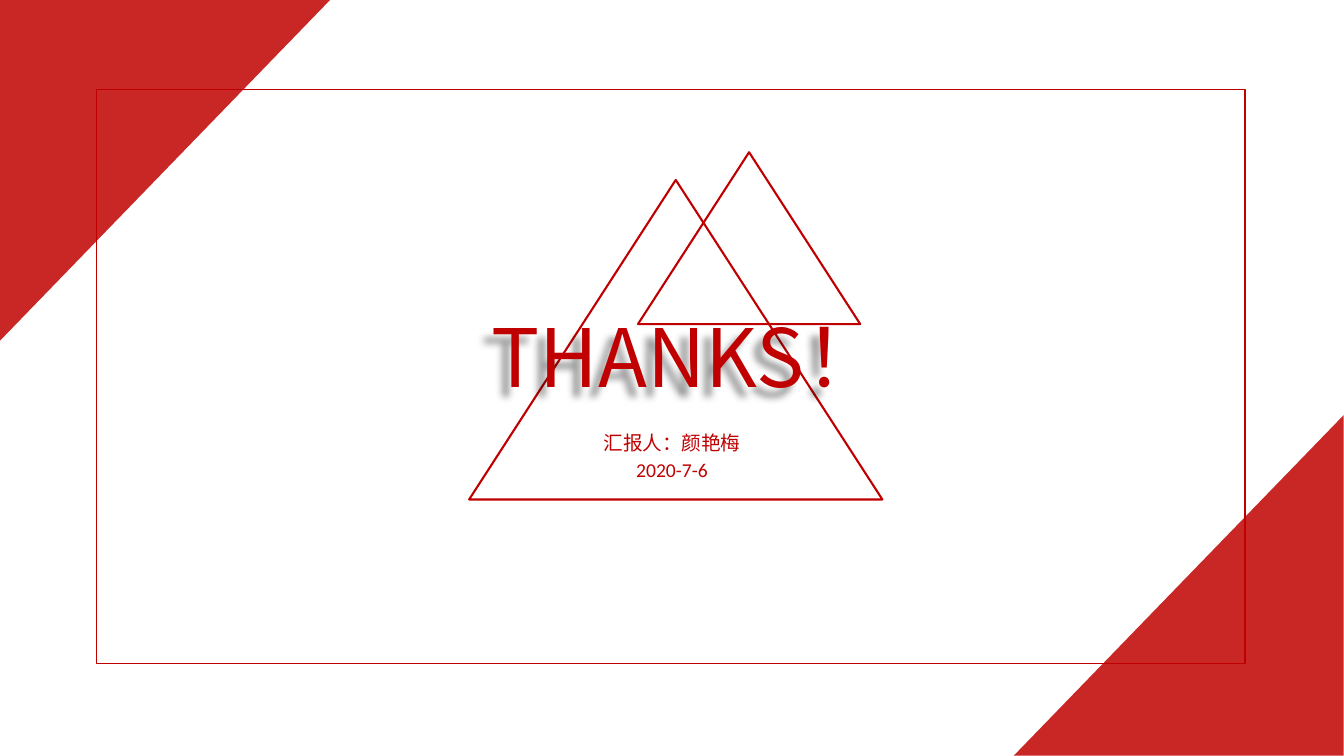
"""Build a closing slide with red corners, a frame, two triangles and thanks."""
from dataclasses import dataclass

import lxml.etree
import pptx
import pptx.dml.color
import pptx.enum.shapes
import pptx.enum.text
import pptx.oxml.ns
import pptx.util

Inches = pptx.util.Inches
Pt = pptx.util.Pt
Kind = pptx.enum.shapes.MSO_SHAPE
Anchor = pptx.enum.text.MSO_ANCHOR
RED = "C00000"
CJK_FONT = "Noto Sans CJK SC"


@dataclass(frozen=True)
class Corner:
    left: float
    top: float
    rotation: int


@dataclass(frozen=True)
class Outline:
    kind: Kind
    left: float
    top: float
    width: float
    height: float
    weight: float


@dataclass(frozen=True)
class Label:
    lines: tuple[str, ...]
    left: float
    top: float
    width: float
    height: float
    size: float
    font: str
    frame: dict
    space_before: float = 0


CORNERS = (Corner(-0.11, 0.11, 90), Corner(20.01, 8.34, 270))
OUTLINES = (
    Outline(Kind.RECTANGLE, 1.91, 1.78, 22.8, 11.38, 2),
    Outline(Kind.ISOSCELES_TRIANGLE, 12.66, 3.02, 4.41, 3.41, 3),
    Outline(Kind.ISOSCELES_TRIANGLE, 9.31, 3.57, 8.2, 6.34, 3),
)
THANKS = Label(("THANKS！",), 8.76, 6.02, 9.79, 2.04, 115, CJK_FONT,
               {"vertical_anchor": Anchor.MIDDLE})
SPEAKER = Label(("汇报人：颜艳梅", "2020-7-6"), 11.92, 8.55, 2.83, 1.04, 28, "Calibri",
                {"margin_left": 0, "margin_right": 0, "margin_top": 0, "margin_bottom": 0},
                5.6)


def colour(value: str) -> pptx.dml.color.RGBColor:
    """Turn a hex string into a colour."""
    return pptx.dml.color.RGBColor.from_string(value)


def add_element(parent, tag: str, **attributes: str):
    """Append a DrawingML element with the given attributes."""
    return lxml.etree.SubElement(parent, pptx.oxml.ns.qn(tag), attributes)


def draw_corner(page, corner: Corner) -> None:
    """Draw a translucent right triangle turned into a slide corner."""
    shape = page.shapes.add_shape(Kind.RIGHT_TRIANGLE, Inches(corner.left), Inches(corner.top),
                                  Inches(6.76), Inches(6.55))
    shape.rotation = corner.rotation
    shape.shadow.inherit = False
    shape.line.fill.background()
    shape.fill.solid()
    shape.fill.fore_color.rgb = colour(RED)
    solid = shape.fill._xPr.find(pptx.oxml.ns.qn("a:solidFill"))
    add_element(solid[0], "a:alpha", val="85000")


def draw_outline(page, outline: Outline) -> None:
    """Draw an unfilled shape with a red line."""
    shape = page.shapes.add_shape(outline.kind, Inches(outline.left), Inches(outline.top),
                                  Inches(outline.width), Inches(outline.height))
    shape.shadow.inherit = False
    shape.fill.background()
    shape.line.color.rgb = colour(RED)
    shape.line.width = Pt(outline.weight)


def draw_label(page, label: Label):
    """Write centred red lines in a text box and return the box."""
    box = page.shapes.add_textbox(Inches(label.left), Inches(label.top),
                                  Inches(label.width), Inches(label.height))
    for name, value in {"word_wrap": True, **label.frame}.items():
        setattr(box.text_frame, name, value)
    box.text_frame.text = "\n".join(label.lines)
    for para in box.text_frame.paragraphs:
        para.alignment = pptx.enum.text.PP_ALIGN.CENTER
        para.space_before = Pt(label.space_before)
        for span in para.runs:
            for name, value in {"size": Pt(label.size), "name": label.font}.items():
                setattr(span.font, name, value)
            span.font.color.rgb = colour(RED)
            add_element(span.font._element, "a:ea", typeface=CJK_FONT)
    return box


def cast_shadow(box) -> None:
    """Give a text box a soft shadow to the lower left."""
    effects = add_element(box._element.spPr, "a:effectLst")
    shadow = add_element(effects, "a:outerShdw", blurRad=str(Inches(0.14)),
                         dist=str(Inches(0.27)), dir="8100000", algn="tr", rotWithShape="0")
    black = add_element(shadow, "a:srgbClr", val="000000")
    add_element(black, "a:alpha", val="40000")


def main() -> None:
    """Build and save the deck."""
    deck = pptx.Presentation()
    deck.slide_width, deck.slide_height = Inches(26.67), Inches(15)
    page = deck.slides.add_slide(deck.slide_layouts[6])
    draw_corner(page, CORNERS[0])
    for outline in OUTLINES:
        draw_outline(page, outline)
    cast_shadow(draw_label(page, THANKS))
    draw_label(page, SPEAKER)
    draw_corner(page, CORNERS[1])
    deck.save("out.pptx")


if __name__ == "__main__":
    main()
